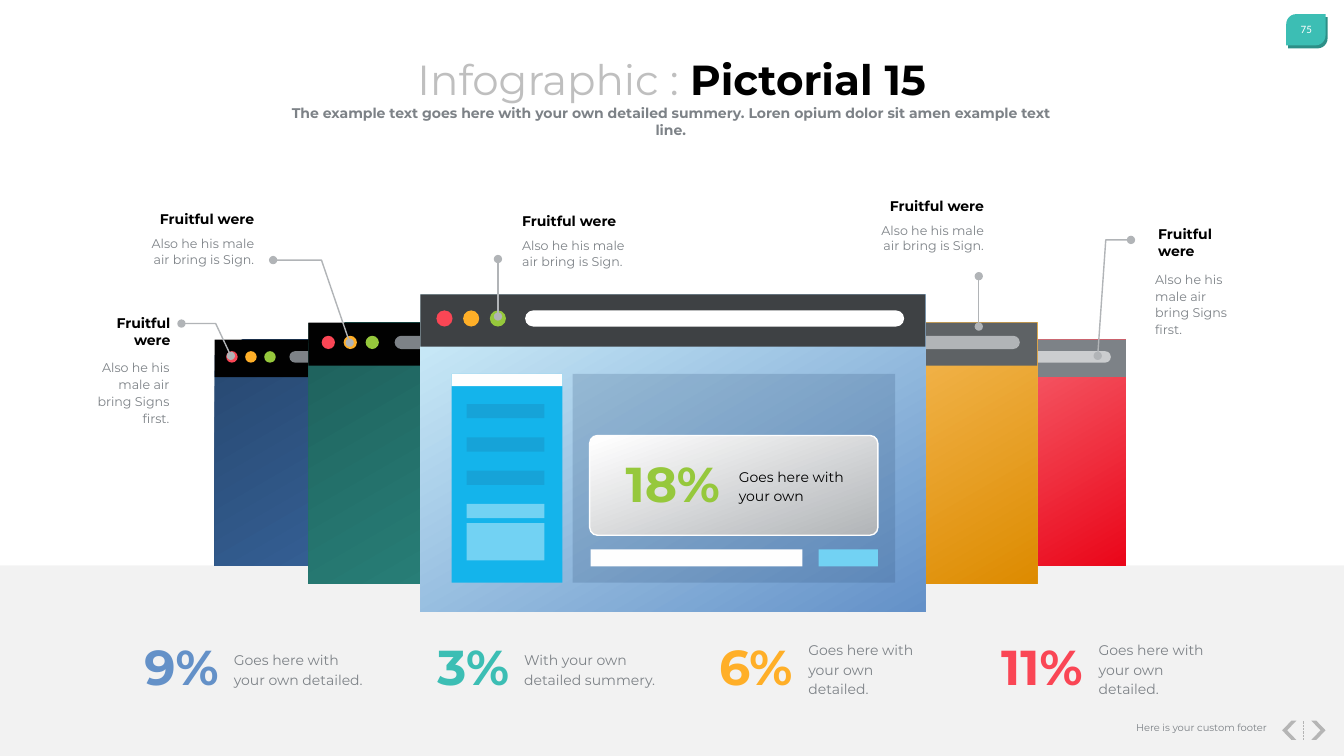
from dataclasses import dataclass
from typing import Any, NamedTuple

from lxml.etree import SubElement
from pptx import Presentation
from pptx.dml.color import RGBColor
from pptx.enum.dml import MSO_LINE
from pptx.enum.shapes import MSO_CONNECTOR, MSO_SHAPE as Preset
from pptx.enum.text import MSO_ANCHOR as Anchor, MSO_AUTO_SIZE as AutoSize, PP_ALIGN as Align
from pptx.oxml.ns import qn
from pptx.util import Emu, Inches, Pt

# Square grid, ten columns and ten rows to the inch
CELL = Inches(0.1)
COLUMNS, ROWS = 133.33, 75
BLACK, WHITE, NEAR_WHITE, INK = "000000", "FFFFFF", "FEFEFE", "010101"
GREY, PALE, SILVER, NAVY = "7D8287", "BFBFBF", "B1B4B7", "27476F"
RED, AMBER, GREEN, TEAL, BLUE = "FA4655", "FFAF28", "96C83C", "3CBEB4", "6491C8"
SKY, LIGHT_SKY = "14B4EB", "72D2F3"


class Box(NamedTuple):
    left: float
    top: float
    width: float
    height: float


class Paint(NamedTuple):
    color: str
    end: str = ""
    angle: float = 60
    end_position: float = 1
    alpha: int = 100


class Run(NamedTuple):
    text: str
    size: float
    color: str
    bold: bool = False
    font: str = "Montserrat"


@dataclass
class Window:
    left: float
    top: float
    width: float
    page: Paint
    toolbar: str
    address: str
    buttons: tuple[str, ...] = (RED, AMBER, GREEN)


@dataclass
class Callout:
    left: float
    top: float
    body_left: float
    align: Align
    narrow: bool
    leader: list[tuple[float, float]]


@dataclass
class Figure:
    left: float
    top: float
    value: str
    color: str
    label: str
    label_left: float
    label_width: float
    label_color: str = GREY


# The windows on the right have their buttons covered by the front window
WINDOWS = [
    Window(21.3, 33.7, 35.7, Paint(NAVY, "3B6BA6"), INK, GREY),
    Window(76.1, 33.7, 35.6, Paint("FC9099", "EA0619"), GREY, "CBCDCF", ()),
    Window(30.6, 32, 41.2, Paint("1E5F5A", "2D8F87"), INK, GREY),
    Window(61.7, 32, 41.2, Paint("FFCF7E", "DD8B00"), "5E6265", SILVER, ()),
    Window(41.7, 29.2, 50.1, Paint("D0F0FB", BLUE), "3E4144", WHITE),
]
CALLOUTS = [
    Callout(9.4, 30.7, 9.1, Align.RIGHT, True, [(22.9, 35.3), (21.4, 32.1), (18, 32.1)]),
    Callout(14.8, 20.4, 13.4, Align.RIGHT, False, [(34.7, 34), (31.9, 25.8), (27.1, 25.8)]),
    Callout(51.3, 20.6, 51.3, Align.LEFT, False, [(49.4, 31.4), (49.4, 25.7)]),
    Callout(87.2, 19.1, 85.8, Align.RIGHT, False, [(97.1, 32.4), (97.1, 27.4)]),
    Callout(114.4, 21.9, 114.1, Align.LEFT, True, [(108.9, 35.3), (109.7, 23.8), (112.2, 23.8)]),
]
OWN_DETAILED = "Goes here with your own detailed."
FIGURES = [
    Figure(10.7, 62.7, "9%", BLUE, OWN_DETAILED, 22.7, 14),
    Figure(39.5, 62.7, "3%", TEAL, "With your own detailed summery.", 51.5, 14.2),
    Figure(67.6, 62.7, "6%", AMBER, OWN_DETAILED, 79.7, 13.6),
    Figure(96.4, 62.7, "11%", RED, OWN_DETAILED, 108.5, 13.6),
    Figure(60.4, 44.5, "18%", GREEN, "Goes here with your own", 72.8, 11.6, BLACK),
]


def cells(*values: float) -> list[Emu]:
    return [Emu(round(value * CELL)) for value in values]


def rgb(color: str) -> RGBColor:
    return RGBColor.from_string(color)


def apply_format(target: Any, values: dict[str, Any]) -> None:
    for name, value in values.items():
        setattr(target, name, value)


def paint_fill(fill: Any, paint: Paint) -> None:
    if paint.end:
        fill.gradient()
        fill.gradient_angle = 360 - paint.angle
        first, last = fill.gradient_stops
        first.color.rgb, last.color.rgb = rgb(paint.color), rgb(paint.end)
        last.position = paint.end_position
        return
    fill.solid()
    fill.fore_color.rgb = rgb(paint.color)
    if paint.alpha < 100:
        color = fill._xPr.find(qn("a:solidFill")).find(qn("a:srgbClr"))
        SubElement(color, qn("a:alpha"), val=str(paint.alpha * 1000))


def add_shape(shapes: Any, box: Box, paint: Paint | str, preset: Preset = Preset.RECTANGLE,
              adjust: float | None = None, rotation: float = 0, outline: str = "") -> None:
    shape = shapes.add_shape(preset, *cells(*box))
    shape.shadow.inherit = False
    shape.rotation = rotation
    if adjust is not None:
        shape.adjustments[0] = adjust
    paint_fill(shape.fill, Paint(paint) if isinstance(paint, str) else paint)
    if outline:
        shape.line.color.rgb, shape.line.width = rgb(outline), Pt(1)
    else:
        shape.line.fill.background()


def add_text(shapes: Any, box: Box, runs: list[Run], align: Align = Align.LEFT,
             spacing: Any = None, anchor: Anchor = Anchor.TOP, wrap: bool = True,
             size: AutoSize = AutoSize.SHAPE_TO_FIT_TEXT) -> None:
    frame = shapes.add_textbox(*cells(*box)).text_frame
    margins = {f"margin_{side}": Inches(0.05) for side in ("left", "right", "top", "bottom")}
    apply_format(frame, margins | {"word_wrap": wrap, "auto_size": size, "vertical_anchor": anchor})
    paragraph = frame.paragraphs[0]
    apply_format(paragraph, {"alignment": align, "line_spacing": spacing})
    for item in runs:
        run = paragraph.add_run()
        run.text = item.text
        apply_format(run.font, {"size": Pt(item.size), "bold": item.bold, "name": item.font})
        run.font.color.rgb = rgb(item.color)


def add_line(shapes: Any, points: list[tuple[float, float]], color: str, width: float,
             dotted: bool = False) -> None:
    start, *rest = [cells(*point) for point in points]
    if len(rest) == 1:
        line = shapes.add_connector(MSO_CONNECTOR.STRAIGHT, *start, *rest[0])
    else:
        builder = shapes.build_freeform(*start)
        builder.add_line_segments(rest, close=False)
        line = builder.convert_to_shape()
        line.fill.background()
    line.line.color.rgb, line.line.width = rgb(color), Pt(width)
    if dotted:
        line.line.dash_style = MSO_LINE.ROUND_DOT
    else:
        for end in ("a:headEnd", "a:tailEnd"):
            SubElement(line.line._get_or_add_ln(), qn(end), type="oval")
    SubElement(line._element.spPr, qn("a:effectLst"))


def add_window(shapes: Any, window: Window) -> None:
    left, top, width = window.left, window.top, window.width
    scale = width / 50.1
    add_shape(shapes, Box(left, top, width, 31.5 * scale), window.page)
    add_shape(shapes, Box(left, top, width, 5.2 * scale), window.toolbar)
    row, size = top + 1.6 * scale, 1.6 * scale
    for index, color in enumerate(window.buttons):
        button_left = left + (1.6 + 2.65 * index) * scale
        add_shape(shapes, Box(button_left, row, size, size), color, Preset.OVAL)
    address = Box(left + 10.4 * scale, row, 37.6 * scale, size)
    add_shape(shapes, address, window.address, Preset.ROUNDED_RECTANGLE, 0.5)


def add_page_content(shapes: Any) -> None:
    add_shape(shapes, Box(56.8, 37.1, 32, 20.7), Paint(NAVY, alpha=20))
    add_shape(shapes, Box(44.8, 37.1, 11, 20.7), SKY)
    for index in range(4):
        paint = Paint(NAVY, alpha=15) if index < 3 else Paint(LIGHT_SKY)
        add_shape(shapes, Box(46.3, 40.1 + 3.3 * index, 7.7, 1.4), paint)
    add_shape(shapes, Box(46.3, 51.9, 7.7, 3.7), LIGHT_SKY)
    add_shape(shapes, Box(58.6, 54.5, 21, 1.7), NEAR_WHITE)
    add_shape(shapes, Box(81.2, 54.5, 5.9, 1.7), LIGHT_SKY)
    add_shape(shapes, Box(44.8, 37.1, 11, 1.2), NEAR_WHITE)
    add_shape(shapes, Box(58.5, 43.2, 28.6, 9.9), Paint(SILVER, NEAR_WHITE, 250, 0.97),
              Preset.ROUNDED_RECTANGLE, 0.08, outline=NEAR_WHITE)


def add_callout_text(shapes: Any, callout: Callout) -> None:
    left, top, body_left, align = callout.left, callout.top, callout.body_left, callout.align
    if callout.narrow:
        heading, body = Box(left, top, 8, 4.3), Box(body_left, top + 4.4, 8.2, 7.6)
        text, spacing = "Also he his male air bring Signs first.", Pt(12)
    else:
        heading, body = Box(left, top, 10.9, 2.7), Box(body_left, top + 2.55, 12.3, 4.1)
        text, spacing = "Also he his male air bring is Sign.", None
    add_text(shapes, heading, [Run("Fruitful were", 10, BLACK, True)], align, Pt(12))
    add_text(shapes, body, [Run(text, 9, GREY)], align, spacing)


def add_figure(shapes: Any, figure: Figure) -> None:
    add_text(shapes, Box(figure.label_left, figure.top + 1.2, figure.label_width, 4.8),
             [Run(figure.label, 10, figure.label_color)], spacing=Pt(14), anchor=Anchor.MIDDLE)
    add_text(shapes, Box(figure.left, figure.top, 11.5, 6.8),
             [Run(figure.value, 35, figure.color, True)], Align.RIGHT, anchor=Anchor.MIDDLE)


def main() -> None:
    presentation = Presentation()
    presentation.slide_width, presentation.slide_height = cells(COLUMNS, ROWS)
    shapes = presentation.slides.add_slide(presentation.slide_layouts[6]).shapes

    # Page number badge and arrows
    for left, top, color in ((127.8, 1.7, "2D8F87"), (127.6, 1.4, TEAL)):
        add_shape(shapes, Box(left, top, 3.9, 3.1), color, Preset.ROUND_2_DIAG_RECTANGLE, 0.32)
    for left, rotation in ((130.1, 0), (127.2, 180)):
        add_shape(shapes, Box(left, 71.5, 1.4, 1.9), PALE, Preset.CHEVRON, 0.65, rotation)
    add_line(shapes, [(129.3, 73.4), (129.3, 71.5)], PALE, 0.5, dotted=True)
    add_text(shapes, Box(128.4, 1.7, 2.4, 2.4), [Run("75", 8, NEAR_WHITE, font="Calibri")],
             Align.CENTER, anchor=Anchor.MIDDLE, wrap=False)

    # Footer band
    add_shape(shapes, Box(0, 56.1, COLUMNS, ROWS - 56.1), Paint(BLACK, alpha=5))
    add_text(shapes, Box(93.4, 71.2, 32.8, 2.2), [Run("Here is your custom footer", 7.1, GREY)],
             Align.RIGHT, 0.9, size=AutoSize.NONE)

    # Browser windows, back to front
    for window in WINDOWS:
        add_window(shapes, window)
    add_page_content(shapes)

    # Title
    add_text(shapes, Box(33, 5.4, 67.3, 5.5), [Run("Infographic : ", 30, PALE),
             Run("Pictorial 15", 30, BLACK, True)], Align.CENTER, Pt(32))
    add_text(shapes, Box(27.6, 10.7, 77.9, 2.7), [Run(
        "The example text goes here with your own detailed summery. "
        "Loren opium dolor sit amen example text line.", 10, GREY, True)],
        Align.CENTER, anchor=Anchor.MIDDLE)

    # Callouts and percentages
    for callout in CALLOUTS:
        add_line(shapes, callout.leader, SILVER, 1)
        add_callout_text(shapes, callout)
    for figure in FIGURES:
        add_figure(shapes, figure)

    presentation.save("out.pptx")


if __name__ == "__main__":
    main()
